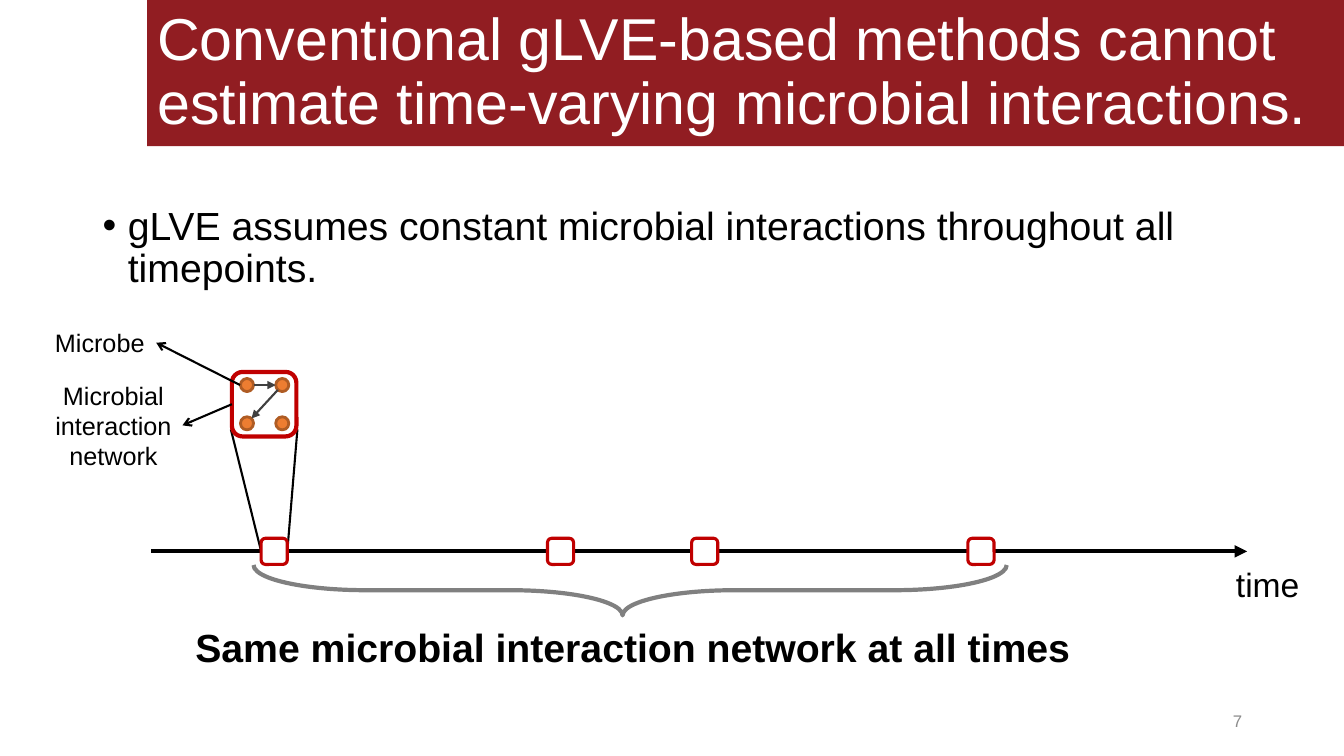
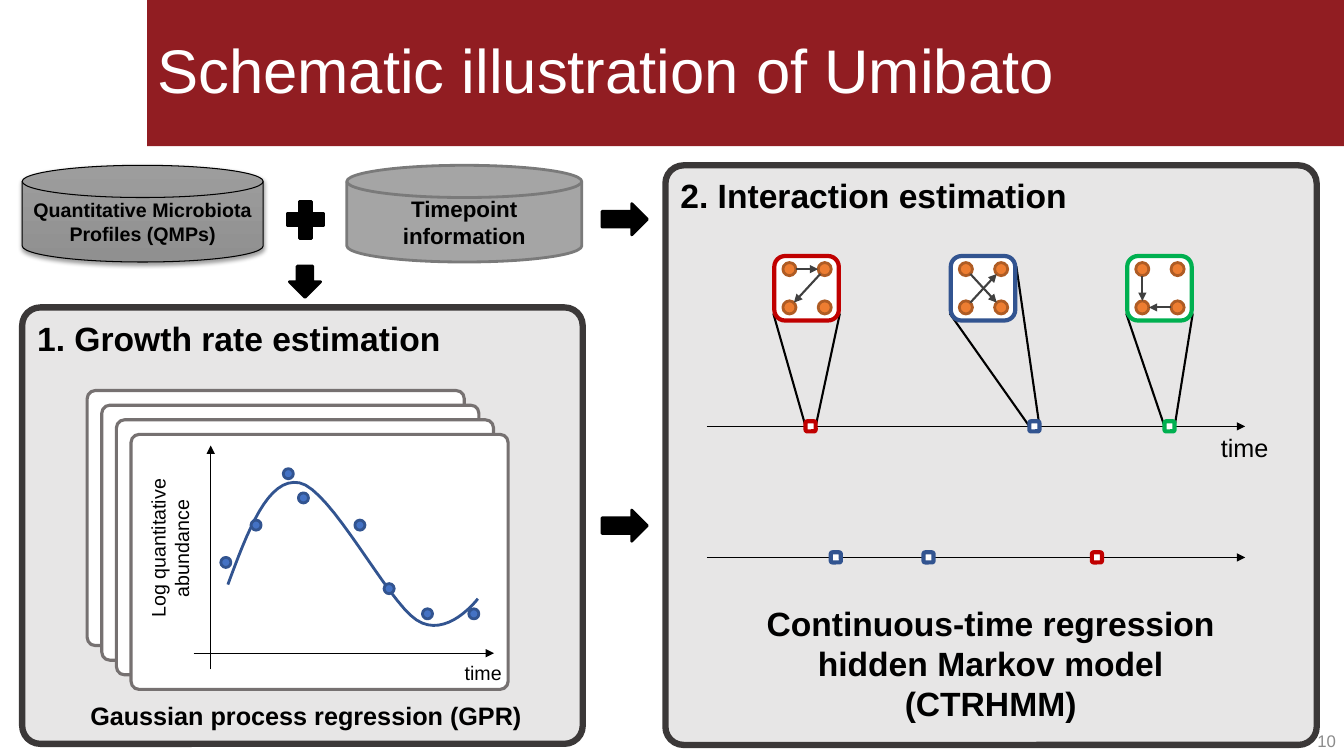
from dataclasses import dataclass
from math import hypot

from lxml import etree
from pptx import Presentation
from pptx.dml.color import RGBColor
from pptx.enum.shapes import MSO_CONNECTOR, MSO_SHAPE
from pptx.enum.text import MSO_ANCHOR, MSO_AUTO_SIZE, PP_ALIGN
from pptx.oxml.ns import qn
from pptx.util import Inches, Pt

STRAIGHT = MSO_CONNECTOR.STRAIGHT
RECTANGLE, OVAL = MSO_SHAPE.ROUNDED_RECTANGLE, MSO_SHAPE.OVAL
PLUS, BRACE = MSO_SHAPE.MATH_PLUS, MSO_SHAPE.LEFT_BRACE
DISK = MSO_SHAPE.FLOWCHART_MAGNETIC_DISK
RIGHT_ARROW, DOWN_ARROW = MSO_SHAPE.RIGHT_ARROW, MSO_SHAPE.DOWN_ARROW
LEFT, CENTER, RIGHT = PP_ALIGN.LEFT, PP_ALIGN.CENTER, PP_ALIGN.RIGHT
TOP, MIDDLE = MSO_ANCHOR.TOP, MSO_ANCHOR.MIDDLE
NO_FIT = MSO_AUTO_SIZE.NONE
TITLE_ONLY = 5


@dataclass(frozen=True)
class Theme:
    font: str = "Arial"
    band: str = "911D22"
    white: str = "FFFFFF"
    black: str = "000000"
    page: str = "8B8B8B"
    red: str = "C00000"
    blue: str = "325490"
    green: str = "00B050"
    dot: str = "4472C4"
    microbe: str = "ED7D31"
    microbe_line: str = "AF5C24"
    edge: str = "404040"
    brace: str = "808080"
    panel: str = "E7E6E6"
    panel_line: str = "3B3838"
    card_line: str = "767171"
    disk: str = "A5A5A5"
    disk_line: str = "7A7A7A"
    disk_light: str = "9D9D9D"
    disk_dark: str = "909090"
    title_size: float = 44
    long_title_size: float = 42.2
    body_size: float = 28
    heading_size: float = 24
    label_size: float = 18
    disk_size: float = 16
    small_size: float = 14
    page_size: float = 12


THEME = Theme()
NODES = {"nw": (0.15, 0.13), "ne": (0.5, 0.13), "sw": (0.15, 0.51), "se": (0.5, 0.51)}
NETWORK_SIDE = 0.64
NODE_SIDE = 0.13
FALLING = [("nw", "ne"), ("ne", "sw")]
CROSSED = [("sw", "ne"), ("nw", "se")]
CORNERED = [("nw", "sw"), ("se", "sw")]


def color(value):
    return RGBColor.from_string(value)


def style_line(line, line_color, width):
    line.color.rgb = color(line_color)
    line.width = Pt(width)


def write(frame, lines, size, text_color=THEME.black, bold=False, align=LEFT, anchor=TOP, wrap=True):
    frame.auto_size = NO_FIT
    frame.word_wrap = wrap
    frame.vertical_anchor = anchor
    for index, line in enumerate(lines):
        paragraph = frame.add_paragraph() if index else frame.paragraphs[0]
        paragraph.alignment = align
        run = paragraph.add_run()
        run.text = line
        run.font.name = THEME.font
        run.font.size = Pt(size)
        run.font.bold = bold
        run.font.color.rgb = color(text_color)


def add_text(shapes, box, lines, size, rotation=0, **style):
    textbox = shapes.add_textbox(*map(Inches, box))
    textbox.rotation = rotation
    write(textbox.text_frame, lines, size, **style)
    return textbox


def add_shape(shapes, kind, box, fill, line, width, radius=None):
    shape = shapes.add_shape(kind, *map(Inches, box))
    shape.shadow.inherit = False
    if fill:
        shape.fill.solid()
        shape.fill.fore_color.rgb = color(fill)
    else:
        shape.fill.background()
    style_line(shape.line, line, width)
    if radius:
        shape.adjustments[0] = radius / min(box[2:])
    return shape


def add_line(shapes, start, end, width, line_color=THEME.black, head=None):
    connector = shapes.add_connector(STRAIGHT, *map(Inches, (*start, *end)))
    style_line(connector.line, line_color, width)
    if head:
        line = connector._element.spPr.find(qn("a:ln"))
        etree.SubElement(line, qn("a:tailEnd"), type=head)
    etree.SubElement(connector._element.spPr, qn("a:effectLst"))


def add_title(slide, text, size):
    title = slide.shapes.title
    title.left, title.top, title.width, title.height = map(Inches, (1.46, 0, 11.87, 1.45))
    title.fill.solid()
    title.fill.fore_color.rgb = color(THEME.band)
    write(title.text_frame, [text], size, THEME.white, anchor=MIDDLE)
    title.text_frame.paragraphs[0].line_spacing = 0.9


def add_page_number(slide, left, top, number):
    add_text(slide.shapes, (left, top, 3, 0.4), [number], THEME.page_size,
             text_color=THEME.page, align=RIGHT, anchor=MIDDLE)


def add_bullet(slide, box, text):
    textbox = add_text(slide.shapes, box, [text], THEME.body_size)
    paragraph = textbox.text_frame.paragraphs[0]
    paragraph.line_spacing = 0.9
    paragraph.space_before = Pt(10)
    properties = paragraph._p.get_or_add_pPr()
    properties.set("marL", str(Inches(0.25)))
    properties.set("indent", str(Inches(-0.25)))
    etree.SubElement(properties, qn("a:buFont"), typeface=THEME.font)
    etree.SubElement(properties, qn("a:buChar"), char="•")


def add_network(slide, left, top, line_color, edges):
    shapes = slide.shapes.add_group_shape().shapes
    add_shape(shapes, RECTANGLE, (left, top, NETWORK_SIDE, NETWORK_SIDE), THEME.white, line_color, 3)
    radius = NODE_SIDE / 2
    for x, y in NODES.values():
        add_shape(shapes, OVAL, (left + x - radius, top + y - radius, NODE_SIDE, NODE_SIDE),
                  THEME.microbe, THEME.microbe_line, 2)
    for source, target in edges:
        (x1, y1), (x2, y2) = NODES[source], NODES[target]
        length = hypot(x2 - x1, y2 - y1)
        dx, dy = (x2 - x1) / length * radius, (y2 - y1) / length * radius
        add_line(shapes, (left + x1 + dx, top + y1 + dy), (left + x2 - dx, top + y2 - dy),
                 1.5, THEME.edge, "triangle")


def add_marker(slide, center, axis, side, line_color, width):
    add_shape(slide.shapes, RECTANGLE, (center - side / 2, axis - side / 2, side, side),
              THEME.white, line_color, width)


def add_zoomed_marker(slide, network, center, axis, side, line_color, width, edges, right_drop=0.57):
    left, top = network
    add_line(slide.shapes, (left - 0.01, top + 0.57), (center - side / 2, axis), 1.5)
    add_line(slide.shapes, (left + NETWORK_SIDE + 0.01, top + right_drop), (center + side / 2, axis), 1.5)
    add_marker(slide, center, axis, side, line_color, width)
    add_network(slide, left, top, line_color, edges)


def add_axis(shapes, start, end, width=0.75):
    add_line(shapes, start, end, width, head="triangle")


def add_constant_timeline(slide, left, top):
    shapes = slide.shapes
    axis = top + 2.27
    add_axis(shapes, (left, axis), (left + 10.87, axis), 3)
    add_zoomed_marker(slide, (left + 0.8, top + 0.49), left + 1.22, axis, 0.26, THEME.red, 2.25, FALLING)
    for offset in (4.06, 5.49, 8.23):
        add_marker(slide, left + offset, axis, 0.26, THEME.red, 2.25)
    add_text(shapes, (left + 10.66, top + 2.35, 1.01, 0.5), ["time"], THEME.heading_size)
    add_text(shapes, (left - 1.06, top, 1.1, 0.4), ["Microbe"], THEME.label_size, align=CENTER)
    add_text(shapes, (left - 1.06, top + 0.52, 1.37, 1), ["Microbial", "interaction", "network"],
             THEME.label_size, align=CENTER)
    add_line(shapes, (left + 0.88, top + 0.62), (left + 0.05, top + 0.2), 1.5, head="arrow")
    add_line(shapes, (left + 0.8, top + 0.81), (left + 0.31, top + 1.02), 1.5, head="arrow")
    brace = add_shape(shapes, BRACE, (left + 4.5, top - 1.08, 0.5, 7.47), None, THEME.brace, 3)
    brace.rotation = 270
    brace.adjustments[0], brace.adjustments[1] = 2.23, 0.49
    add_text(shapes, (left + 0.33, top + 2.93, 8.89, 0.56),
             ["Same microbial interaction network at all times"],
             THEME.body_size, bold=True, align=CENTER, wrap=False)


def add_panel(slide, box, heading):
    left, top = box[:2]
    add_shape(slide.shapes, RECTANGLE, box, THEME.panel, THEME.panel_line, 4.5, 0.18)
    add_text(slide.shapes, (left + 0.05, top + 0.05, 4.29, 0.5), [heading], THEME.heading_size, bold=True)


def bezier(points, steps=16):
    for step in range(1, steps + 1):
        t = step / steps
        weights = ((1 - t) ** 3, 3 * t * (1 - t) ** 2, 3 * t * t * (1 - t), t ** 3)
        yield tuple(sum(w * p[axis] for w, p in zip(weights, points)) for axis in (0, 1))


def add_growth_plot(slide, left, top):
    shapes = slide.shapes.add_group_shape().shapes
    for layer in range(-3, 1):
        shift = layer * 0.145
        add_shape(shapes, RECTANGLE, (left + shift, top + shift, 3.74, 2.53),
                  THEME.white, THEME.card_line, 2.25, 0.08)
    add_axis(shapes, (left + 0.62, top + 2.17), (left + 3.6, top + 2.17))
    add_axis(shapes, (left + 0.79, top + 2.33), (left + 0.79, top + 0.11))
    controls = [(0.96, 1.49), (1.16, 0.95), (1.36, 0.42), (1.67, 0.48), (1.98, 0.54),
                (2.54, 1.65), (2.83, 1.84), (3.13, 2.04), (3.44, 1.63), (3.44, 1.63)]
    points = [controls[0]]
    for first in range(0, len(controls) - 1, 3):
        points.extend(bezier(controls[first:first + 4]))
    points = [(Inches(left + x), Inches(top + y)) for x, y in points]
    builder = shapes.build_freeform(*points[0], scale=1.0)
    builder.add_line_segments(points[1:], close=False)
    curve = builder.convert_to_shape()
    curve.shadow.inherit = False
    curve.fill.background()
    style_line(curve.line, THEME.blue, 2)
    for x, y in [(0.89, 1.22), (1.19, 0.85), (1.51, 0.34), (1.66, 0.58),
                 (2.22, 0.85), (2.51, 1.48), (2.89, 1.73), (3.35, 1.73)]:
        add_shape(shapes, OVAL, (left + x, top + y, 0.1, 0.1), THEME.dot, THEME.blue, 2)
    add_text(shapes, (left + 3.21, top + 2.2, 0.7, 0.33), ["time"], THEME.small_size)
    add_text(shapes, (left - 0.64, top + 0.85, 2.04, 0.56), ["Log quantitative", "abundance"],
             THEME.small_size, rotation=270, align=CENTER)


def add_growth_panel(slide, left, top):
    add_panel(slide, (left, top, 5.56, 4.33), "1. Growth rate estimation")
    add_growth_plot(slide, left + 1.08, top + 1.26)
    add_text(slide.shapes, (left + 0.06, top + 3.85, 5.51, 0.4), ["Gaussian process regression (GPR)"],
             THEME.label_size, bold=True, align=CENTER)


def add_interaction_panel(slide, left, top):
    add_panel(slide, (left, top, 6.46, 5.75), "2. Interaction estimation")
    upper, lower = top + 2.59, top + 3.89
    for axis in (upper, lower):
        add_axis(slide.shapes, (left + 0.41, axis), (left + 5.75, axis))
    for network, center, line_color, edges, right_drop in [
        (1.08, 1.44, THEME.red, FALLING, 0.57),
        (2.83, 3.66, THEME.blue, CROSSED, 0.1),
        (4.58, 5.0, THEME.green, CORNERED, 0.57),
    ]:
        add_zoomed_marker(slide, (left + network, top + 0.9), left + center, upper, 0.1,
                          line_color, 3, edges, right_drop)
    for center, line_color in [(1.69, THEME.blue), (2.61, THEME.blue), (4.28, THEME.red)]:
        add_marker(slide, left + center, lower, 0.1, line_color, 3)
    add_text(slide.shapes, (left + 5.41, top + 2.6, 0.7, 0.4), ["time"], THEME.label_size)
    add_text(slide.shapes, (left + 0.8, top + 4.29, 4.85, 1.3),
             ["Continuous-time regression hidden Markov model", "(CTRHMM)"],
             THEME.heading_size, bold=True, align=CENTER)


def add_disk(slide, box, lines, size, line, width):
    disk = add_shape(slide.shapes, DISK, box, THEME.disk, line, width)
    write(disk.text_frame, lines, size, bold=True, align=CENTER, anchor=MIDDLE)
    return disk


def shade_disk(disk):
    disk.fill.gradient()
    disk.fill.gradient_angle = 270
    for stop, value in zip(disk.fill.gradient_stops, (THEME.disk_light, THEME.disk_dark)):
        stop.color.rgb = color(value)
    effects = disk._element.spPr.find(qn("a:effectLst"))
    shadow = etree.SubElement(effects, qn("a:outerShdw"), blurRad=str(Pt(3.1)), dist=str(Pt(1.6)),
                              dir="5400000", rotWithShape="0")
    shade = etree.SubElement(shadow, qn("a:srgbClr"), val=THEME.black)
    etree.SubElement(shade, qn("a:alpha"), val="38000")


def add_inputs(slide, left, top):
    profiles = add_disk(slide, (left, top, 2.39, 0.96), ["Quantitative Microbiota", "Profiles (QMPs)"],
                        THEME.small_size, THEME.black, 0.75)
    shade_disk(profiles)
    add_disk(slide, (left + 3.22, top, 2.33, 0.96), ["Timepoint", "information"],
             THEME.disk_size, THEME.disk_line, 2)
    for kind, box in [
        (PLUS, (2.56, 0.29, 0.5, 0.5)),
        (DOWN_ARROW, (2.65, 1, 0.31, 0.31)),
        (RIGHT_ARROW, (5.75, 0.38, 0.45, 0.31)),
        (RIGHT_ARROW, (5.75, 3.42, 0.45, 0.31)),
    ]:
        add_shape(slide.shapes, kind, (left + box[0], top + box[1], *box[2:]), THEME.black, THEME.black, 2)


def build_limitation_slide(presentation):
    slide = presentation.slides.add_slide(presentation.slide_layouts[TITLE_ONLY])
    add_title(slide, "Conventional gLVE-based methods cannot estimate time-varying microbial interactions.",
              THEME.long_title_size)
    add_bullet(slide, (0.92, 2, 11.5, 1),
               "gLVE assumes constant microbial interactions throughout all timepoints.")
    add_constant_timeline(slide, 1.5, 3.2)
    add_page_number(slide, 9.42, 6.95, "7")


def build_overview_slide(presentation):
    slide = presentation.slides.add_slide(presentation.slide_layouts[TITLE_ONLY])
    add_title(slide, "Schematic illustration of Umibato", THEME.title_size)
    add_page_number(slide, 10.35, 7.15, "10")
    add_growth_panel(slide, 0.22, 3.05)
    add_interaction_panel(slide, 6.6, 1.64)
    add_inputs(slide, 0.22, 1.64)


def main():
    presentation = Presentation()
    presentation.slide_width, presentation.slide_height = Inches(13.33), Inches(7.5)
    build_limitation_slide(presentation)
    build_overview_slide(presentation)
    presentation.save("out.pptx")


if __name__ == "__main__":
    main()
